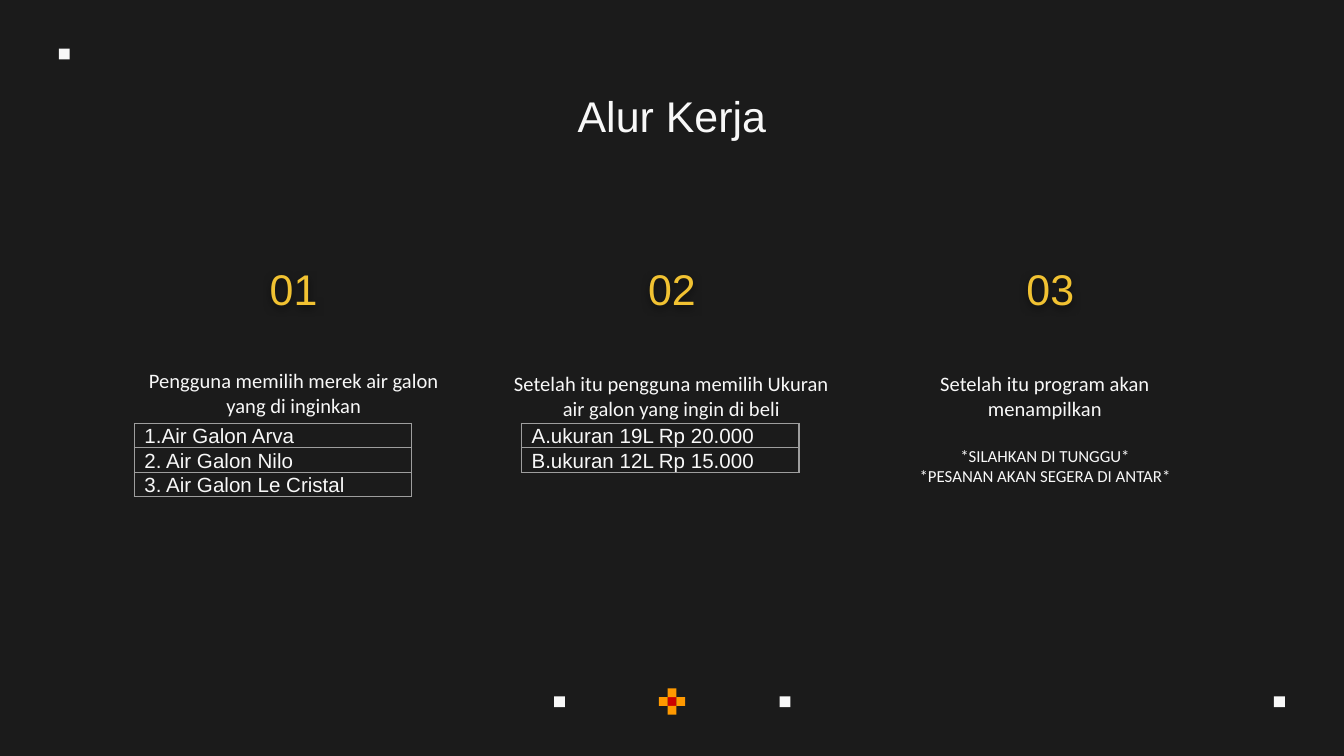
from pptx import Presentation
from pptx.dml.color import RGBColor
from pptx.enum.shapes import MSO_SHAPE as Shape
from pptx.enum.text import MSO_ANCHOR as Anchor, MSO_AUTO_SIZE as AutoSize, PP_ALIGN as Align
from pptx.oxml import parse_xml
from pptx.oxml.ns import nsdecls
from pptx.util import Pt

WHITE, YELLOW, ORANGE, RED = "F8F8F8", "F1C232", "FF9900", "CC0000"
BACKGROUND, BORDER = "1B1B1B", "9E9E9E"

HEADING = "Alur Kerja"
STEPS = [
    {"number": "01", "left": 63.4, "top": 190,
     "body": ["Pengguna memilih merek air galon yang di inginkan"], "notes": [],
     "options": ["1.Air Galon Arva", "2. Air Galon Nilo", "3. Air Galon Le Cristal"],
     "options_left": 72},
    {"number": "02", "left": 265.7, "top": 191.5,
     "body": ["Setelah itu pengguna memilih Ukuran air galon yang ingin di beli"], "notes": [],
     "options": ["A.ukuran 19L Rp 20.000", "B.ukuran 12L Rp 15.000"],
     "options_left": 279.4},
    {"number": "03", "left": 465.8, "top": 191.5,
     "body": ["Setelah itu program akan menampilkan"],
     "notes": ["*SILAHKAN DI TUNGGU*", "*PESANAN AKAN SEGERA DI ANTAR*"],
     "options": []},
]
DOTS = [(296.8, 373), (417.6, 373), (682.5, 373), (31.5, 26)]
DOT = 5.8
PETALS = [(0, 0, RED), (0, -1, ORANGE), (-1, 0, ORANGE), (1, 0, ORANGE), (0, 1, ORANGE)]
PETAL = 4.7
PETAL_LEFT, PETAL_TOP = 357.65, 373.5
NUMBER_CENTER, NUMBER_PITCH = 157.3, 202.7
NUMBER_WIDTH, NUMBER_HEIGHT = 74.2, 45.4
BODY_WIDTH, BODY_HEIGHT = 188, 82.8
OPTIONS_TOP, OPTIONS_WIDTH, ROW_HEIGHT = 226.8, 148.6, 13.1


def paint(fill, color):
    fill.solid()
    fill.fore_color.rgb = RGBColor.from_string(color)


def write(frame, text, size=11, font="Calibri", color=WHITE, align=Align.CENTER,
          first=True, before=0, after=0, spacing=1.0):
    paragraph = frame.paragraphs[0] if first else frame.add_paragraph()
    paragraph.alignment = align
    paragraph.space_before, paragraph.space_after = Pt(before), Pt(after)
    paragraph.line_spacing = spacing
    run = paragraph.add_run()
    run.text = text
    run.font.size, run.font.name = Pt(size), font
    run.font.color.rgb = RGBColor.from_string(color)


def prepare(frame, anchor=Anchor.TOP):
    frame.word_wrap = True
    frame.auto_size = AutoSize.NONE
    frame.vertical_anchor = anchor
    frame.margin_left = frame.margin_right = Pt(7.2)
    frame.margin_top = frame.margin_bottom = Pt(7.2)
    return frame


def add_box(slide, left, top, width, height, anchor=Anchor.TOP):
    box = slide.shapes.add_textbox(Pt(left), Pt(top), Pt(width), Pt(height))
    prepare(box.text_frame, anchor)
    return box


def add_square(slide, left, top, side, color):
    square = slide.shapes.add_shape(Shape.RECTANGLE, Pt(left), Pt(top), Pt(side), Pt(side))
    square.shadow.inherit = False
    paint(square.fill, color)
    square.line.fill.background()


def add_glow(box):
    box._element.spPr.append(parse_xml(
        f'<a:effectLst {nsdecls("a")}><a:outerShdw blurRad="57150" dist="19050" dir="5400000">'
        '<a:srgbClr val="000000"><a:alpha val="50000"/></a:srgbClr>'
        '</a:outerShdw></a:effectLst>'))


def add_borders(cell):
    properties = cell._tc.get_or_add_tcPr()
    for index, side in enumerate(("lnL", "lnR", "lnT", "lnB")):
        properties.insert(index, parse_xml(
            f'<a:{side} {nsdecls("a")} w="9525"><a:solidFill><a:srgbClr val="{BORDER}"/>'
            f'</a:solidFill></a:{side}>'))


def add_options(slide, options, left):
    table = slide.shapes.add_table(
        len(options), 1, Pt(left), Pt(OPTIONS_TOP),
        Pt(OPTIONS_WIDTH), Pt(ROW_HEIGHT * len(options))).table
    table.first_row = table.horz_banding = False
    for row, option in enumerate(options):
        table.rows[row].height = Pt(ROW_HEIGHT)
        cell = table.cell(row, 0)
        cell.margin_left = cell.margin_right = Pt(5.4)
        cell.margin_top = cell.margin_bottom = 0
        cell.fill.background()
        write(cell.text_frame, option, font="Arial", align=Align.LEFT, after=8, spacing=1.07)
        add_borders(cell)


def add_step(slide, index, step):
    center = NUMBER_CENTER + index * NUMBER_PITCH
    number = add_box(slide, center - NUMBER_WIDTH / 2, 131.8,
                     NUMBER_WIDTH, NUMBER_HEIGHT, Anchor.MIDDLE)
    write(number.text_frame, step["number"], size=23, font="Arial", color=YELLOW)
    add_glow(number)

    body = add_box(slide, step["left"], step["top"], BODY_WIDTH, BODY_HEIGHT).text_frame
    for text in step["body"]:
        write(body, text)
    for line, note in enumerate(step["notes"]):
        write(body, note, size=9, first=False, before=0 if line else 13.4)
    if step["options"]:
        add_options(slide, step["options"], step["options_left"])


def main():
    deck = Presentation()
    deck.slide_width, deck.slide_height = Pt(720), Pt(405)
    slide = deck.slides.add_slide(deck.slide_layouts[5])
    paint(slide.background.fill, BACKGROUND)

    for left, top in DOTS:
        add_square(slide, left, top, DOT, WHITE)
    for column, row, color in PETALS:
        add_square(slide, PETAL_LEFT + column * PETAL, PETAL_TOP + row * PETAL, PETAL, color)

    heading = slide.shapes.title
    heading.left, heading.top, heading.width, heading.height = Pt(56.2), Pt(41), Pt(607.6), Pt(36.7)
    write(prepare(heading.text_frame), HEADING, size=23, font="Arial")

    for index, step in enumerate(STEPS):
        add_step(slide, index, step)
    deck.save("out.pptx")


if __name__ == "__main__":
    main()
